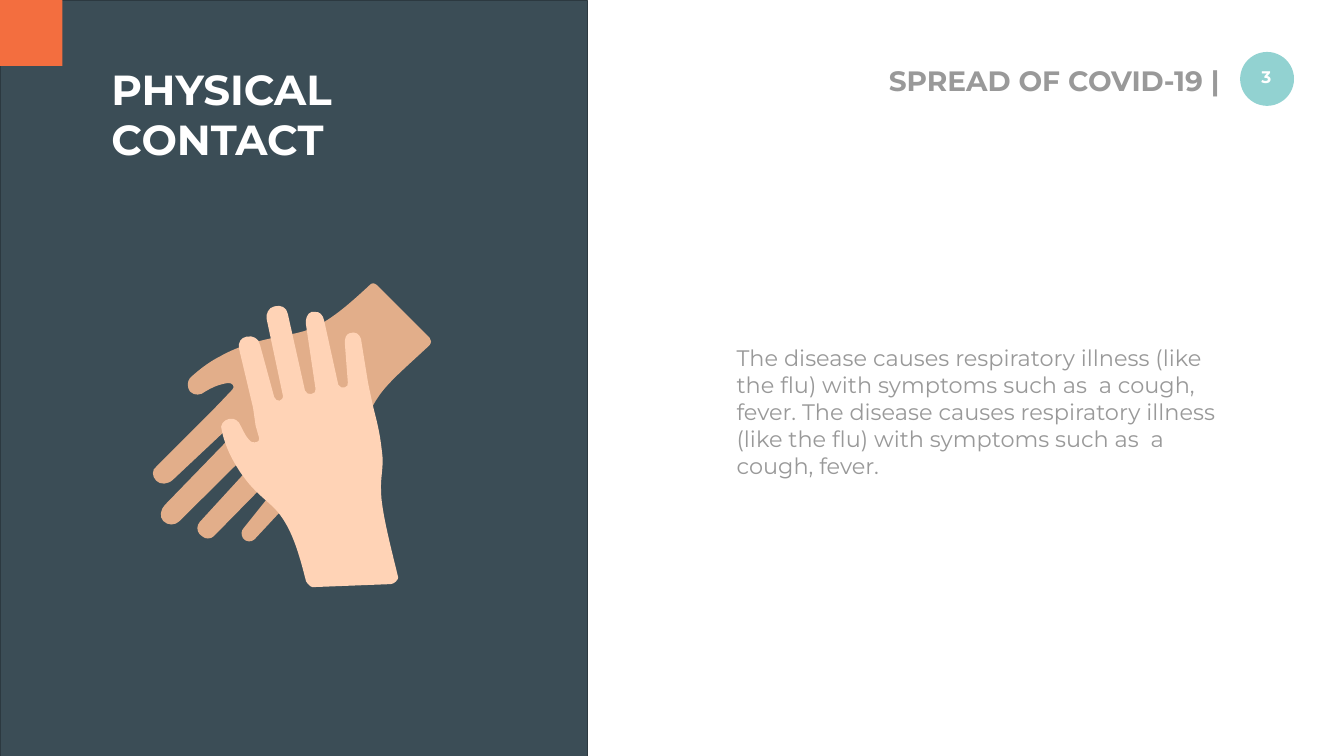
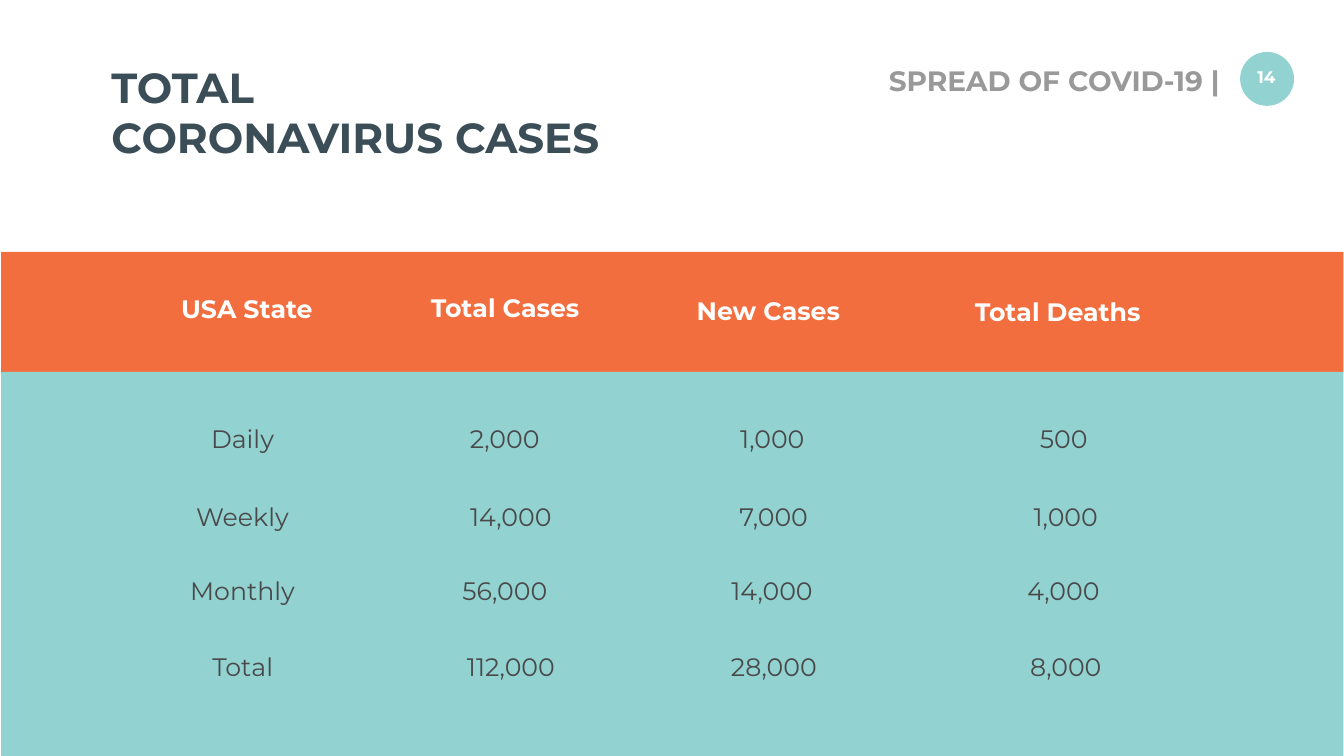
from lxml import etree
from pptx import Presentation
from pptx.dml.color import RGBColor
from pptx.enum.shapes import MSO_SHAPE
from pptx.enum.text import MSO_ANCHOR, MSO_AUTO_SIZE, PP_ALIGN
from pptx.oxml.ns import qn
from pptx.util import Inches, Pt

RECT, OVAL = MSO_SHAPE.RECTANGLE, MSO_SHAPE.OVAL
LEFT, MID, RIGHT = PP_ALIGN.LEFT, PP_ALIGN.CENTER, PP_ALIGN.RIGHT
TOP, GROW = MSO_ANCHOR.TOP, MSO_AUTO_SIZE.SHAPE_TO_FIT_TEXT

# Shared look
WIDE, HIGH = Inches(26.66), Inches(15)
FONT = "Montserrat"
SLATE, EDGE, CORAL, AQUA = "3B4D56", "2C3940", "F36E3F", "92D2D1"
WHITE, GREY, INK = "FFFFFF", "999999", "494949"
DARK_SKIN, LIGHT_SKIN = "E2AE8A", "FFD3B6"
HEAD = {"size": Pt(60), "bold": True}
TAG = {"size": Pt(40), "bold": True}
PAGE = {"size": Pt(24), "bold": True}
BODY = {"size": Pt(32), "bold": False}
LABEL = {"size": Pt(36), "bold": True}
VALUE = {"size": Pt(36), "bold": False}

# Hand outlines in hundredths of an inch: two numbers make a line, six a curve
UNDER_HAND = [
    (748, 566), (743, 561, 737, 561, 733, 566), (688, 608, 648, 642, 609, 655),
    (575, 668, 501, 670, 435, 708), (405, 723, 377, 750, 377, 750),
    (371, 757, 371, 769, 377, 777), (386, 786, 399, 784, 407, 777),
    (420, 769, 433, 763, 452, 760), (461, 759, 467, 767, 461, 773),
    (443, 792), (418, 818), (310, 926), (301, 932, 301, 945, 310, 954),
    (318, 962, 333, 962, 344, 951), (443, 858), (452, 852, 463, 862, 454, 871),
    (327, 1002), (318, 1011, 316, 1026, 324, 1034),
    (333, 1043, 347, 1043, 356, 1034), (488, 903),
    (499, 894, 512, 909, 505, 917), (396, 1036),
    (390, 1043, 390, 1053, 396, 1060), (401, 1064),
    (407, 1070, 418, 1070, 424, 1064), (537, 949),
    (547, 941, 558, 954, 552, 962), (484, 1047),
    (478, 1053, 478, 1061, 482, 1068), (488, 1076, 499, 1076, 505, 1070),
    (586, 983), (586, 983, 618, 949, 629, 939), (650, 919, 686, 884, 709, 856),
    (728, 835, 735, 809, 750, 788), (769, 759, 805, 729, 852, 685),
    (856, 680, 856, 674, 852, 670),
]
UPPER_HAND = [
    (620, 1165), (616, 1165, 609, 1157, 607, 1153),
    (592, 1093, 578, 1049, 552, 1017), (529, 989, 497, 977, 461, 911),
    (444, 879, 440, 854, 440, 854), (435, 844, 444, 833, 455, 831),
    (465, 829, 474, 835, 478, 846), (487, 864, 491, 871, 499, 877),
    (507, 879, 516, 877, 514, 869), (507, 844), (502, 809), (474, 691),
    (472, 680, 478, 670, 489, 668), (502, 665, 514, 672, 516, 685),
    (544, 788), (548, 799, 563, 797, 561, 784), (529, 633),
    (527, 623, 533, 610, 544, 608), (557, 604, 569, 610, 571, 623),
    (605, 775), (609, 787, 629, 782, 626, 772), (607, 644),
    (605, 636, 609, 621, 618, 619), (624, 619),
    (633, 617, 641, 625, 643, 636), (671, 763),
    (676, 774, 693, 769, 690, 759), (684, 680),
    (684, 672, 686, 663, 694, 661), (705, 657, 713, 663, 716, 672),
    (730, 759), (730, 759, 739, 803, 743, 818),
    (750, 846, 754, 862, 758, 899), (762, 924, 754, 949, 756, 975),
    (756, 1011, 775, 1085, 790, 1146), (790, 1150, 782, 1159, 775, 1159),
]

# Case figures: text, left and width, in percent of the slide
LABELS = [
    ("USA State", 13.02, 10.69, 38.53), ("Total Cases", 31.43, 12.3, 38.33),
    ("New Cases", 50.83, 12.68, 38.8), ("Total Deaths", 69.69, 18, 38.87),
]
CASES = {
    55.6: [("Daily", 15.3, 5.48), ("2,000", 34.55, 6),
           ("1,000", 54.65, 5.63), ("500", 76.97, 4.35)],
    66: [("Weekly", 14.14, 7.8), ("14,000", 34.58, 6.86),
         ("7,000", 54.54, 6.04), ("1,000", 76.48, 5.63)],
    75.8: [("Monthly", 13.73, 8.63), ("56,000", 33.98, 7.16),
           ("14,000", 54.01, 6.86), ("4,000", 76.03, 6.19)],
    85.8: [("Total", 15.34, 5.44), ("112,000", 34.32, 7.39),
           ("28,000", 53.98, 7.2), ("8,000", 76.22, 6.15)],
}
LINE = 4.73


def rgb(code):
    return RGBColor.from_string(code)


def area(left, top, width, height):
    """Turn percent of the slide into lengths."""
    sides = (left, WIDE), (top, HIGH), (width, WIDE), (height, HIGH)
    return [round(side * share / 100) for share, side in sides]


def put(item, values):
    for name, value in values.items():
        setattr(item, name, value)


def paint(shape, color, line=None):
    shape.shadow.inherit = False
    shape.fill.solid()
    shape.fill.fore_color.rgb = rgb(color)
    if line:
        shape.line.color.rgb = rgb(line)
        shape.line.width = Pt(1)
    else:
        shape.line.fill.background()


def write(frame, text, style, color, align=LEFT, wrap=True):
    put(frame, {"word_wrap": wrap, "auto_size": GROW, "vertical_anchor": TOP})
    frame.text = text
    for para in frame.paragraphs:
        put(para, {"alignment": align, "space_before": Pt(0)})
        for run in para.runs:
            put(run.font, {"name": FONT, **style})
            run.font.color.rgb = rgb(color)


def block(slide, kind, place, color, line=None):
    paint(slide.shapes.add_shape(kind, *area(*place)), color, line)


def note(slide, place, *words, **flow):
    box = slide.shapes.add_textbox(*area(*place))
    write(box.text_frame, *words, **flow)


def fill_holder(holder, place, text, style, color):
    """Place a template holder in front of what is already drawn."""
    holder.element.getparent().append(holder.element)
    put(holder, dict(zip(("left", "top", "width", "height"), area(*place))))
    write(holder.text_frame, text, style, color)
    for para in holder.text_frame.paragraphs:
        props = para._p.get_or_add_pPr()
        props.set("marL", "0")
        props.set("indent", "0")
        etree.SubElement(props, qn("a:buNone"))


def header(slide, page):
    block(slide, OVAL, (92.27, 6.87, 4.01, 7.13), AQUA)
    note(slide, (92.3, 8.53, 3.86, 4.07), page, PAGE, WHITE, MID, wrap=False)
    note(slide, (58.33, 8.07, 32.78, 5.13), "SPREAD OF COVID-19 |",
         TAG, GREY, RIGHT)


def outline(slide, steps, color):
    """Draw the corners, then bend the sides that have handles."""
    ends = [step[-2:] for step in steps]
    pen = slide.shapes.build_freeform(*ends[0], scale=Inches(0.01))
    pen.add_line_segments(ends[1:], close=True)
    shape = pen.convert_to_shape()
    paint(shape, color)
    left, top = (min(axis) for axis in zip(*ends))
    sides = list(shape.element.iter(qn("a:lnTo")))
    for side, step in zip(sides, steps[1:]):
        if len(step) == 6:
            curve = etree.Element(qn("a:cubicBezTo"))
            for x, y in zip(step[::2], step[1::2]):
                etree.SubElement(curve, qn("a:pt"),
                                 x=str(x - left), y=str(y - top))
            side.getparent().replace(side, curve)


def contact(deck):
    slide = deck.slides.add_slide(deck.slide_layouts[1])
    header(slide, "3")
    block(slide, RECT, (0, 0, 43.68, 100), SLATE, EDGE)
    fill_holder(slide.shapes.title, (7.91, 8.07, 35.78, 14.13),
                "PHYSICAL\nCONTACT", HEAD, WHITE)
    fill_holder(
        slide.placeholders[1], (54.43, 45.2, 36.68, 18.6),
        "The disease causes respiratory illness (like the flu) with symptoms "
        "such as  a cough, fever. The disease causes respiratory illness "
        "(like the flu) with symptoms such as  a cough, fever.", BODY, GREY)
    outline(slide, UNDER_HAND, DARK_SKIN)
    outline(slide, UPPER_HAND, LIGHT_SKIN)
    block(slide, RECT, (0, 0, 4.65, 8.73), CORAL)


def cases(deck):
    slide = deck.slides.add_slide(deck.slide_layouts[5])
    header(slide, "14")
    # Bands behind the figures
    block(slide, RECT, (0.08, 33.33, 99.88, 15.87), CORAL)
    block(slide, RECT, (0.08, 49.2, 99.88, 50.8), AQUA)
    # Column labels and figures
    for text, left, width, top in LABELS:
        note(slide, (left, top, width, LINE), text, LABEL, WHITE, MID)
    for top, row in CASES.items():
        for text, left, width in row:
            note(slide, (left, top, width, LINE), text, VALUE, INK, MID,
                 wrap=False)
    fill_holder(slide.shapes.title, (7.91, 7.75, 38.67, 14.13),
                "TOTAL\nCORONAVIRUS CASES", HEAD, SLATE)


def main():
    deck = Presentation()
    put(deck, {"slide_width": WIDE, "slide_height": HIGH})
    contact(deck)
    cases(deck)
    deck.save("out.pptx")


if __name__ == "__main__":
    main()
